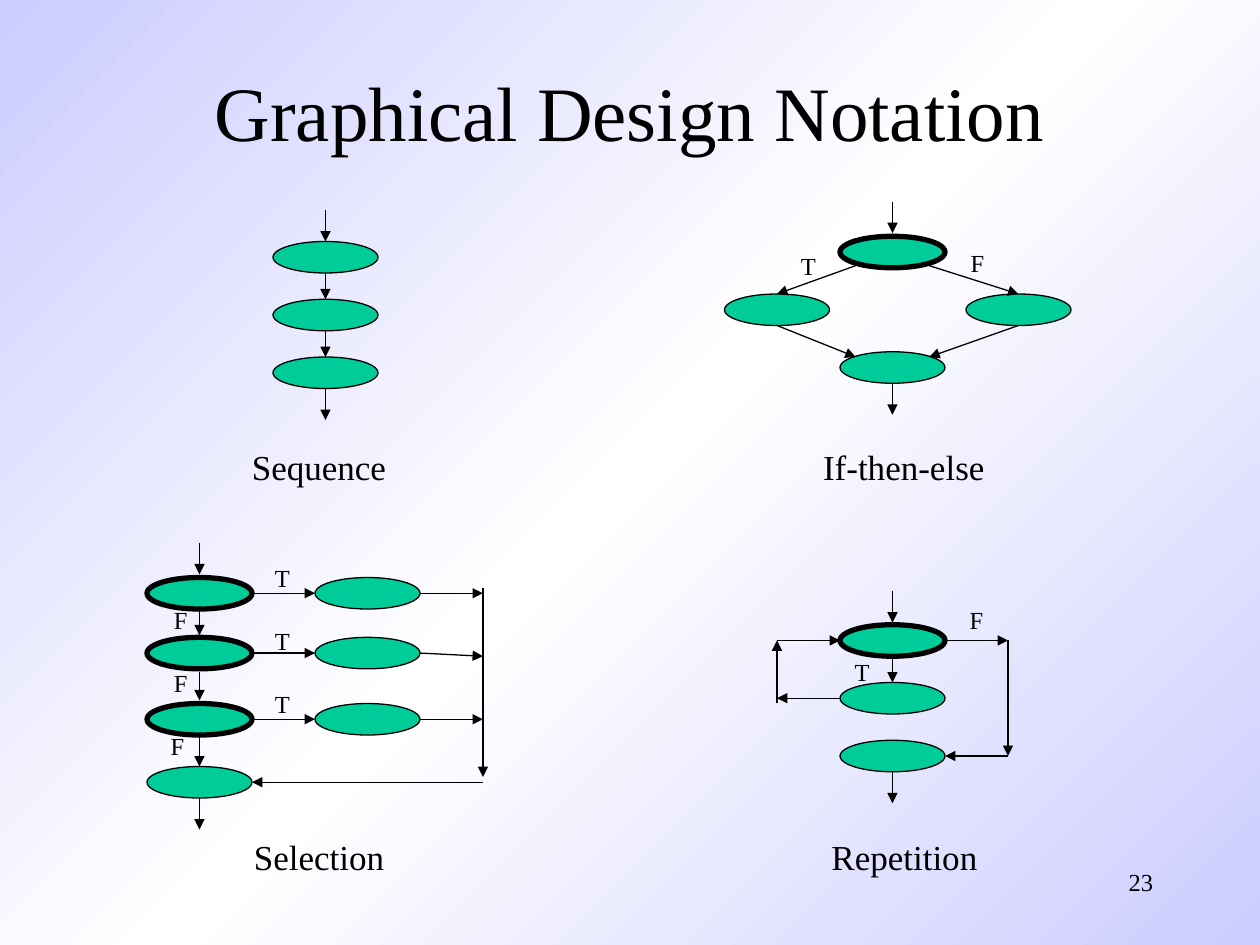
import copy

import pptx
import pptx.dml.color
import pptx.enum.shapes
import pptx.enum.text
import pptx.oxml.ns
import pptx.util
import lxml.etree

PX = 7620  # EMU, 120 px to the inch
FONT = "Times New Roman"
COLORS = {
    name: pptx.dml.color.RGBColor.from_string(value)
    for name, value in {
        "edge": "CCCCFF",
        "middle": "FFFFFF",
        "node": "00CC99",
        "ink": "000000",
    }.items()
}
ALIGN = pptx.enum.text.PP_ALIGN
NODE_WIDTH, NODE_HEIGHT = 100, 30

presentation = pptx.Presentation()
presentation.slide_width = 1200 * PX
presentation.slide_height = 900 * PX
slide = presentation.slides.add_slide(presentation.slide_layouts[6])

# Diagonal background gradient with a third stop
background = slide.background.fill
background.gradient()
background.gradient_angle = 135
stop_list = slide.element.find(".//" + pptx.oxml.ns.qn("a:gsLst"))
stop_list.append(copy.deepcopy(stop_list[0]))
for stop, position, color in zip(
    background.gradient_stops, (0, 0.5, 1), ("edge", "middle", "edge")
):
    stop.position = position
    stop.color.rgb = COLORS[color]


def add_text(text, left, top, width, height, size, alignment, wrap=False):
    shape = slide.shapes.add_textbox(left * PX, top * PX, width * PX, height * PX)
    frame = shape.text_frame
    frame.text = text
    frame.word_wrap = wrap
    if not wrap:
        frame.auto_size = pptx.enum.text.MSO_AUTO_SIZE.SHAPE_TO_FIT_TEXT
    paragraph = frame.paragraphs[0]
    paragraph.alignment = alignment
    font = paragraph.runs[0].font
    font.name = FONT
    font.size = pptx.util.Pt(size)
    font.color.rgb = COLORS["ink"]
    return shape


# Title and captions
title = add_text("Graphical Design Notation", 90, 30, 1020, 150, 44, ALIGN.CENTER, True)
title.text_frame.vertical_anchor = pptx.enum.text.MSO_ANCHOR.MIDDLE
for caption, left, top, width in (
    ("Sequence", 228, 418, 153),
    ("If-then-else", 772, 418, 179),
    ("Selection", 230, 790, 149),
    ("Repetition", 780, 790, 164),
):
    add_text(caption, left, top, width, 53, 20, ALIGN.LEFT)

# Nodes (left, top); decisions have a thick outline
selection_tops = (550, 607, 670)
decisions = [(800, 225), (800, 595)] + [(140, top) for top in selection_tops]
steps = [
    *[(260, top) for top in (230, 285, 340)],  # sequence
    (690, 280), (920, 280), (800, 335),  # if-then-else
    *[(300, top) for top in selection_tops], (140, 730),  # selection
    (800, 650), (800, 705),  # repetition
]
for nodes, outline in ((decisions, 3), (steps, 0.75)):
    for left, top in nodes:
        shape = slide.shapes.add_shape(
            pptx.enum.shapes.MSO_SHAPE.OVAL,
            left * PX, top * PX, NODE_WIDTH * PX, NODE_HEIGHT * PX,
        )
        shape.shadow.inherit = False
        shape.fill.solid()
        shape.fill.fore_color.rgb = COLORS["node"]
        shape.line.color.rgb = COLORS["ink"]
        shape.line.width = pptx.util.Pt(outline)

# Vertical flow down each column: x and (start, end) pairs
columns = (
    (310, ((200, 230), (260, 285), (315, 340), (370, 400))),  # sequence
    (850, ((192, 222), (365, 395))),  # if-then-else
    (190, ((517, 547), (582, 605), (640, 667), (702, 730), (760, 790))),  # selection
    (850, ((563, 593), (628, 650), (735, 765))),  # repetition
)
arrows = [(x, start, x, end) for x, spans in columns for start, end in spans]

# Branches of if-then-else
arrows += [
    (815, 253, 740, 280), (740, 310, 815, 340),
    (885, 253, 970, 280), (970, 310, 885, 340),
]

# Selection rows, collecting line and return
for top, end in zip(selection_tops, (565, 625, 685)):
    middle = top + NODE_HEIGHT // 2
    arrows += [(242, middle, 300, middle), (400, middle, 460, end)]
arrows += [(460, 560, 460, 740), (460, 745, 240, 745)]

# Repetition: loop back on the left, exit on the right
arrows += [
    (800, 665, 740, 665), (740, 670, 740, 610), (740, 610, 800, 610),
    (900, 610, 960, 610), (960, 610, 960, 720), (960, 720, 900, 720),
]

for points in arrows:
    connector = slide.shapes.add_connector(
        pptx.enum.shapes.MSO_CONNECTOR.STRAIGHT, *[value * PX for value in points]
    )
    connector.line.color.rgb = COLORS["ink"]
    connector.line.width = pptx.util.Pt(0.75)
    line = connector.line._get_or_add_ln()
    lxml.etree.SubElement(line, pptx.oxml.ns.qn("a:tailEnd"), type="triangle")
    lxml.etree.SubElement(
        connector.element.spPr, pptx.oxml.ns.qn("a:effectLst")
    )

# True and false labels
labels = {
    "T": ((751, 233), (250, 530), (250, 590), (250, 650), (802, 620)),
    "F": ((912, 230), (153, 570), (153, 630), (150, 690), (911, 570)),
}
for letter, places in labels.items():
    for left, top in places:
        add_text(letter, left, top, 38, 41, 14, ALIGN.CENTER)

# Slide number
add_text("23", 860, 820, 250, 60, 14, ALIGN.RIGHT, True)

presentation.save("out.pptx")
